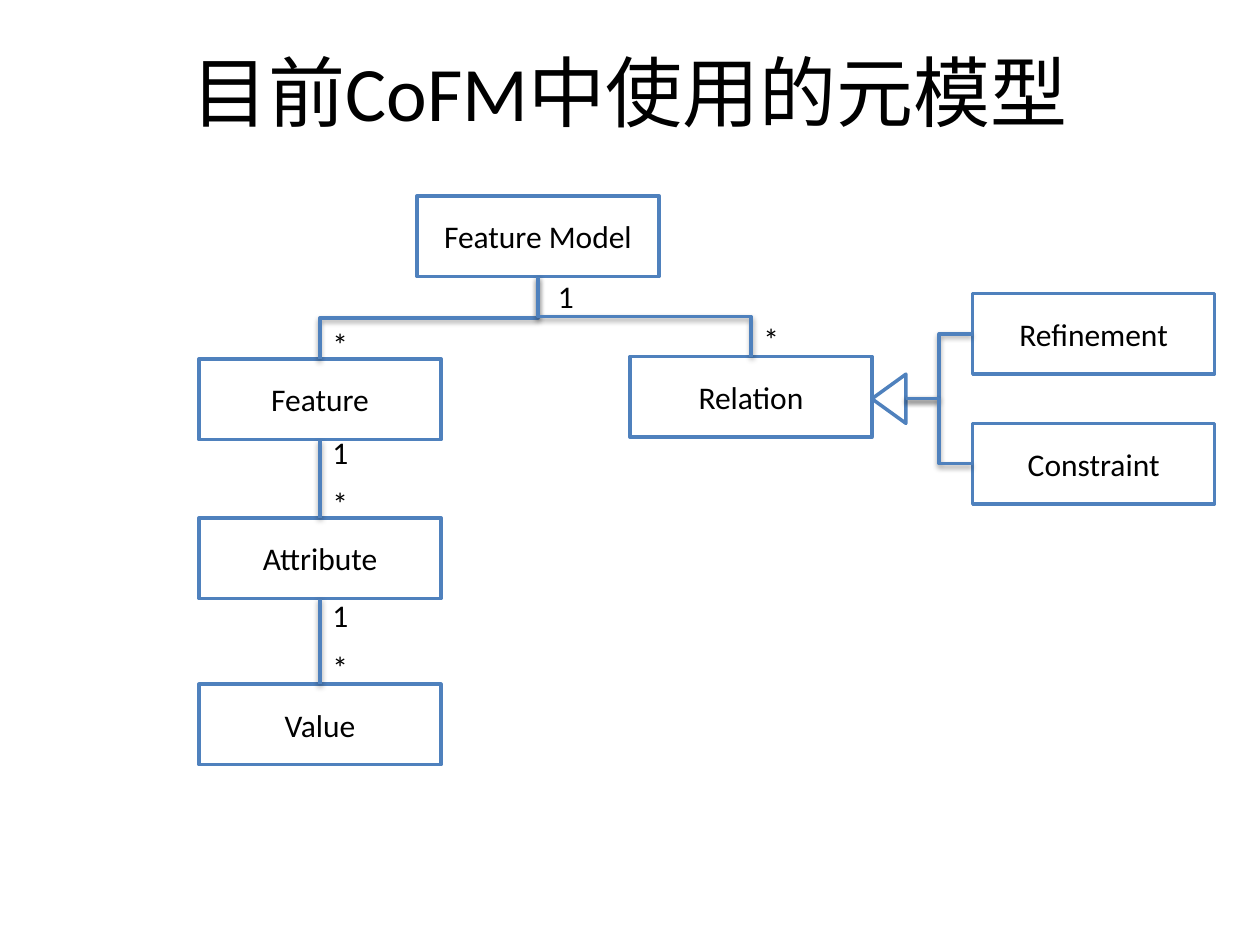
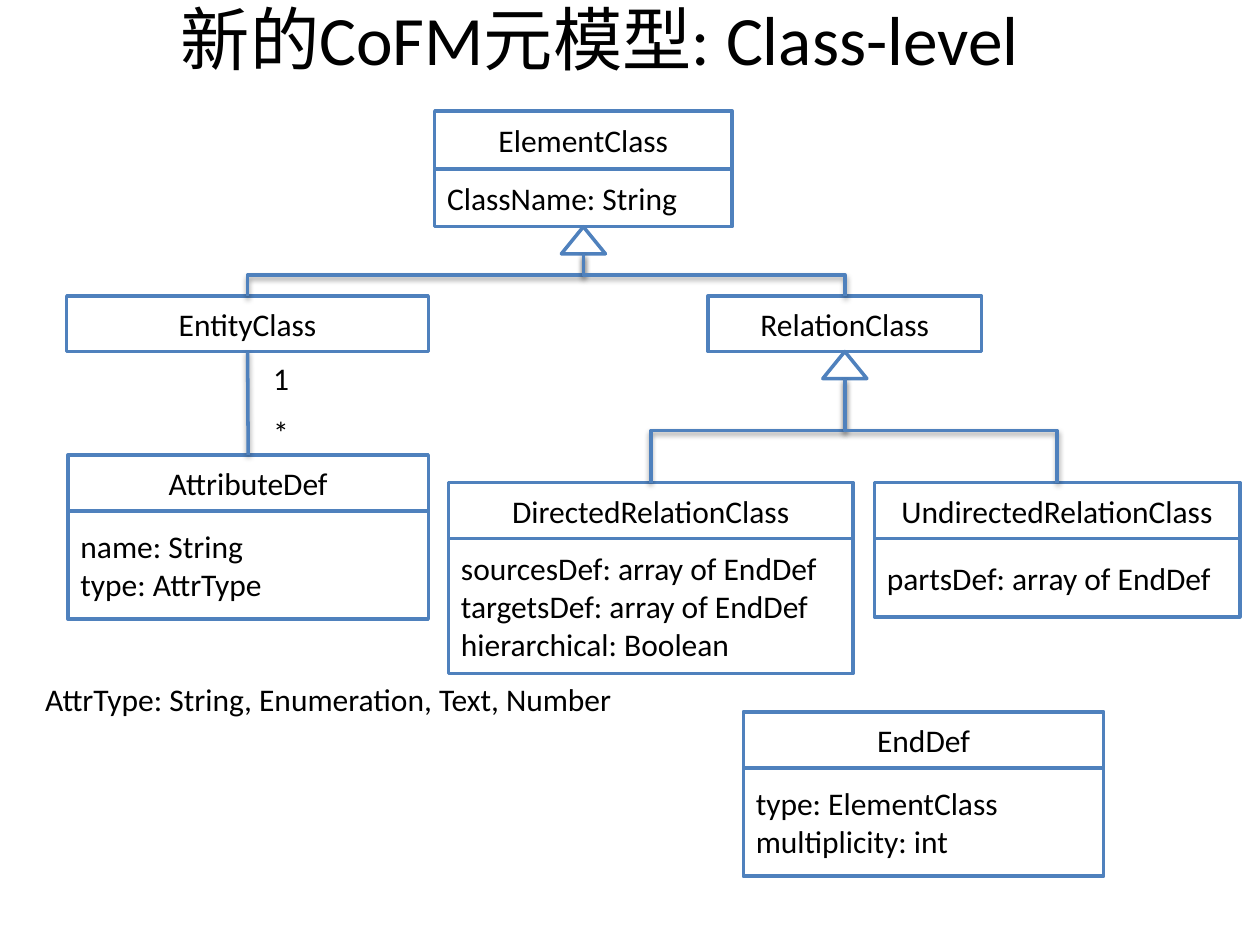
from lxml import etree
from pptx import Presentation
from pptx.dml.color import RGBColor
from pptx.enum.shapes import MSO_CONNECTOR, MSO_SHAPE
from pptx.enum.text import MSO_ANCHOR, MSO_AUTO_SIZE, PP_ALIGN
from pptx.oxml.ns import qn
from pptx.util import Inches, Pt

RECT, TRIANGLE = MSO_SHAPE.RECTANGLE, MSO_SHAPE.ISOSCELES_TRIANGLE
STRAIGHT, ELBOW = MSO_CONNECTOR.STRAIGHT, MSO_CONNECTOR.ELBOW
LEFT, CENTER = PP_ALIGN.LEFT, PP_ALIGN.CENTER
TOP, MIDDLE = MSO_ANCHOR.TOP, MSO_ANCHOR.MIDDLE
FIT = MSO_AUTO_SIZE.SHAPE_TO_FIT_TEXT

# Connection sites of a rectangle; a triangle's base is its site 3
TOP_SITE, LEFT_SITE, BOTTOM_SITE, BASE_SITE = 0, 1, 2, 3


def rgb(value):
    return RGBColor.from_string(value)


def grid(n):
    """The slide is 100 columns by 75 rows of a tenth of an inch."""
    return Inches(n / 10)


def write(tf, text, size=18, color="000000", font="Calibri", align=LEFT,
          anchor=MIDDLE, wrap=True):
    tf.word_wrap = wrap
    tf.vertical_anchor = anchor
    for i, line in enumerate(text.split("\n")):
        p = tf.paragraphs[0] if i == 0 else tf.add_paragraph()
        p.alignment = align
        r = p.add_run()
        r.text = line
        r.font.size = Pt(size)
        r.font.name = font
        r.font.color.rgb = rgb(color)


def anchor_point(sp, site):
    """Where a connector meets the shape, in EMU."""
    cx, cy = sp.left + sp.width // 2, sp.top + sp.height // 2
    if sp.rotation == 270:
        return cx + sp.height // 2, cy
    if site == LEFT_SITE:
        return sp.left, cy
    return cx, sp.top if site == TOP_SITE else sp.top + sp.height


class Diagram:
    LINE, FILL, WEIGHT = "4F81BD", "FFFFFF", 2

    def __init__(self, prs):
        self.prs = prs
        self.s = None

    def new_slide(self, title, y, h, x=5, size=44):
        self.s = self.prs.slides.add_slide(self.prs.slide_layouts[6])
        sp = self.s.shapes.add_textbox(grid(x), grid(y), grid(90), grid(h))
        write(sp.text_frame, title, size=size, align=CENTER)

    def shape(self, kind, x, y, w, h):
        sp = self.s.shapes.add_shape(kind, grid(x), grid(y), grid(w), grid(h))
        sp.shadow.inherit = False
        sp.fill.solid()
        sp.fill.fore_color.rgb = rgb(self.FILL)
        sp.line.color.rgb = rgb(self.LINE)
        sp.line.width = Pt(self.WEIGHT)
        return sp

    def box(self, text, x, y, w=19.2, h=6.4, align=CENTER):
        sp = self.shape(RECT, x, y, w, h)
        write(sp.text_frame, text, align=align)
        return sp

    def class_box(self, name, fields, x, y, w, body, head=4.45):
        """A name row above a list of fields; returns both boxes."""
        return (self.box(name, x, y, w, head),
                self.box(fields, x, y + head, w, body, LEFT))

    def triangle_under(self, parent, w=3.5, h=2.15):
        x, y = anchor_point(parent, BOTTOM_SITE)
        tri = self.shape(TRIANGLE, 0, 0, w, h)
        tri.left, tri.top = x - tri.width // 2, y
        return tri

    def label(self, text, x, y, w=3.3):
        sp = self.s.shapes.add_textbox(grid(x), grid(y), grid(w), grid(4))
        write(sp.text_frame, text, anchor=TOP, wrap=False)
        sp.text_frame.auto_size = FIT

    def link(self, start, end, start_site=BOTTOM_SITE, end_site=TOP_SITE,
             kind=ELBOW):
        (x1, y1), (x2, y2) = (anchor_point(start, start_site),
                              anchor_point(end, end_site))
        c = self.s.shapes.add_connector(kind, x1, y1, x2, y2)
        c.line.color.rgb = rgb(self.LINE)
        c.line.width = Pt(self.WEIGHT)
        self.shadow(c)
        c.begin_connect(start, start_site)
        c.end_connect(end, end_site)
        c.begin_x, c.begin_y, c.end_x, c.end_y = x1, y1, x2, y2
        if kind == ELBOW and end_site == TOP_SITE:
            self.turn_down(c, x1, y1, x2, y2)

    def turn_down(self, c, x1, y1, x2, y2):
        """Rotate an elbow so that it leaves its start downwards."""
        c.width, c.height = abs(y2 - y1), abs(x2 - x1)
        c.left = (x1 + x2 - c.width) // 2
        c.top = (y1 + y2 - c.height) // 2
        xfrm = c._element.spPr.find(qn("a:xfrm"))
        to_right = x2 > x1
        xfrm.set("rot", str((270 if to_right else 90) * 60000))
        xfrm.set("flipH", "1" if to_right else "0")
        xfrm.set("flipV", "0")

    def shadow(self, c):
        effects = etree.SubElement(c._element.spPr, qn("a:effectLst"))
        outer = etree.SubElement(effects, qn("a:outerShdw"), blurRad="40000",
                                 dist="20000", dir="5400000", rotWithShape="0")
        color = etree.SubElement(outer, qn("a:srgbClr"), val="000000")
        etree.SubElement(color, qn("a:alpha"), val="38000")


prs = Presentation()
prs.slide_width, prs.slide_height = grid(100), grid(75)
d = Diagram(prs)

# Slide 1: the current metamodel
d.new_slide("目前CoFM中使用的元模型", y=3, h=8.4)
model = d.box("Feature Model", 33.1, 15.55)
feature = d.box("Feature", 15.8, 28.5)
attribute = d.box("Attribute", 15.8, 41.1)
relation = d.box("Relation", 50, 28.3)
value = d.box("Value", 15.8, 54.3)
subtypes = [d.box("Refinement", 77.2, 23.3), d.box("Constraint", 77.2, 33.6)]

# Composition links
for child in (feature, relation):
    d.link(model, child)
for parent, child in ((feature, attribute), (attribute, value)):
    d.link(parent, child, kind=STRAIGHT)

# Inheritance of relations
triangle = d.shape(TRIANGLE, 68.6, 30.3, 3.9, 2.7)
triangle.rotation = 270
for subtype in subtypes:
    d.link(triangle, subtype, BASE_SITE, LEFT_SITE)

# Multiplicities
for text, x, y in (("1", 43.3, 21.5), ("*", 25.4, 25.3), ("*", 59.6, 24.9),
                   ("1", 25.4, 33.9), ("*", 25.4, 37.9),
                   ("1", 25.4, 46.8), ("*", 25.4, 50.9)):
    d.label(text, x, y)

# Slide 2: the new metamodel at class level
d.new_slide("新的CoFM元模型: Class-level", x=2.6, y=1.5, h=3, size=39.6)
entity = d.box("EntityClass", 5.3, 23.5, 28.7, 4.4)
relation = d.box("RelationClass", 56.2, 23.5, 21.7, 4.4)
_, element = d.class_box("ElementClass", "ClassName: String",
                         34.5, 8.8, 23.6, body=4.6, head=4.6)
directed, _ = d.class_box(
    "DirectedRelationClass",
    "sourcesDef: array of EndDef\ntargetsDef: array of EndDef\n"
    "hierarchical: Boolean", 35.6, 38.3, 32.1, body=10.7)
undirected, _ = d.class_box("UndirectedRelationClass",
                            "partsDef: array of EndDef",
                            69.4, 38.3, 29, body=6.2)
d.class_box("EndDef", "type: ElementClass\nmultiplicity: int",
            59, 56.5, 28.6, body=8.6)
attribute, _ = d.class_box("AttributeDef", "name: String\ntype: AttrType",
                           5.4, 36.1, 28.6, body=8.6)
d.label("AttrType: String, Enumeration, Text, Number", 2.6, 53.5, w=47.6)

# Inheritance
for parent, children in ((element, (entity, relation)),
                         (relation, (directed, undirected))):
    triangle = d.triangle_under(parent)
    for child in children:
        d.link(triangle, child, BASE_SITE)

# Attributes of an entity
d.link(entity, attribute, kind=STRAIGHT)
d.label("1", 20.7, 28)
d.label("*", 20.7, 32.3)

prs.save("out.pptx")
